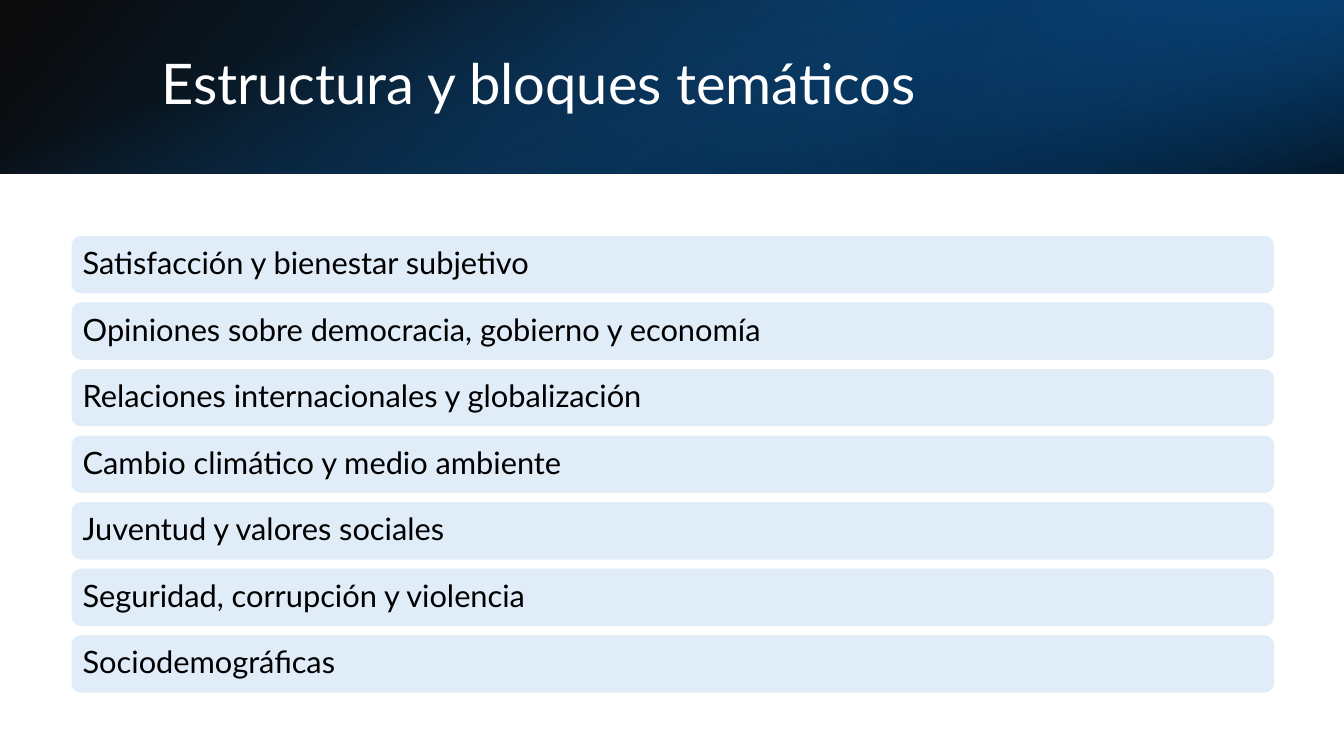
import dataclasses
import typing

import lxml.etree
import pptx
import pptx.dml.color
import pptx.enum.shapes
import pptx.enum.text
import pptx.oxml.ns
import pptx.util

Pt = pptx.util.Pt
Kind = pptx.enum.shapes.MSO_SHAPE
HEX = {
    "black": "000000", "white": "FFFFFF", "pale": "E0ECF8",
    "navy": "083763", "deep": "0B5394", "blue": "0F6FC6",
}
FONT = "Lato"


@dataclasses.dataclass
class Stop:
    pos: float
    tint: str
    solid: int = 100  # opacity in percent


@dataclasses.dataclass
class Band:
    box: tuple[float, float, float, float]
    angle: int  # clockwise
    stops: tuple[Stop, Stop]
    turn: int = 0
    flip: bool = False


BANDS = [
    Band((0, 0, 960, 124), 140,
         (Stop(0, "black", 96), Stop(1, "deep")), flip=True),
    Band((640, 0, 320, 124), 320,
         (Stop(0.19, "navy", 68), Stop(1, "blue", 79)), turn=180, flip=True),
    Band((418, -418, 124, 960), 340,
         (Stop(0.23, "blue", 0), Stop(0.99, "black", 74)), turn=90),
]
TOPICS = [
    "Satisfacción y bienestar subjetivo",
    "Opiniones sobre democracia, gobierno y economía",
    "Relaciones internacionales y globalización",
    "Cambio climático y medio ambiente",
    "Juventud y valores sociales",
    "Seguridad, corrupción y violencia",
    "Sociodemográficas",
]
LEFT, TOP, WIDTH, HEIGHT, PITCH = 50.4, 167.8, 860.4, 42.5, 47.53


def color(name: str) -> pptx.dml.color.RGBColor:
    return pptx.dml.color.RGBColor.from_string(HEX[name])


def apply(item: typing.Any, style: dict[str, typing.Any]) -> None:
    for key, value in style.items():
        setattr(item, key, value)


def write(shape: typing.Any, text: str, size: float, tint: str,
          inset: float) -> None:
    frame = shape.text_frame
    frame.text = text
    apply(frame, {
        "word_wrap": True,
        "auto_size": pptx.enum.text.MSO_AUTO_SIZE.NONE,
        "vertical_anchor": pptx.enum.text.MSO_ANCHOR.MIDDLE,
        "margin_left": Pt(inset), "margin_right": Pt(inset),
    })
    line = frame.paragraphs[0]
    apply(line, {"alignment": pptx.enum.text.PP_ALIGN.LEFT,
                 "line_spacing": 0.9})
    font = line.runs[0].font
    apply(font, {"name": FONT, "size": Pt(size)})
    font.color.rgb = color(tint)


def draw_band(slide: typing.Any, band: Band) -> None:
    shape = slide.shapes.add_shape(Kind.RECTANGLE, *map(Pt, band.box))
    shape.shadow.inherit = False
    shape.line.fill.background()
    shape.rotation = band.turn
    if band.flip:
        shape._element.spPr.xfrm.set("flipH", "1")
    shape.fill.gradient()
    shape.fill.gradient_angle = 360 - band.angle
    for mark, stop in zip(shape.fill.gradient_stops, band.stops):
        mark.position = stop.pos
        mark.color.rgb = color(stop.tint)
        # Opacity
        if stop.solid < 100:
            alpha = lxml.etree.SubElement(
                mark._gs[0], pptx.oxml.ns.qn("a:alpha"))
            alpha.set("val", str(stop.solid * 1000))


def draw_bar(slide: typing.Any, row: int, text: str) -> None:
    shape = slide.shapes.add_shape(
        Kind.ROUNDED_RECTANGLE, Pt(LEFT), Pt(TOP + row * PITCH),
        Pt(WIDTH), Pt(HEIGHT))
    shape.shadow.inherit = False
    shape.fill.solid()
    shape.fill.fore_color.rgb = color("pale")
    shape.line.color.rgb = color("white")
    shape.line.width = Pt(1.5)
    write(shape, text, 22, "black", 6.6)


def main() -> None:
    deck = pptx.Presentation()
    apply(deck, {"slide_width": Pt(960), "slide_height": Pt(540)})
    slide = deck.slides.add_slide(deck.slide_layouts[5])

    # Header
    for band in BANDS:
        draw_band(slide, band)

    # Title, brought in front of the header
    title = slide.shapes.title
    apply(title, {"left": Pt(108), "top": Pt(27.4),
                  "width": Pt(790.6), "height": Pt(69)})
    write(title, "Estructura y bloques temáticos", 40, "white", 7.2)
    slide.shapes._spTree.append(title._element)

    # Topic bars
    for row, text in enumerate(TOPICS):
        draw_bar(slide, row, text)

    deck.save("out.pptx")


if __name__ == "__main__":
    main()
